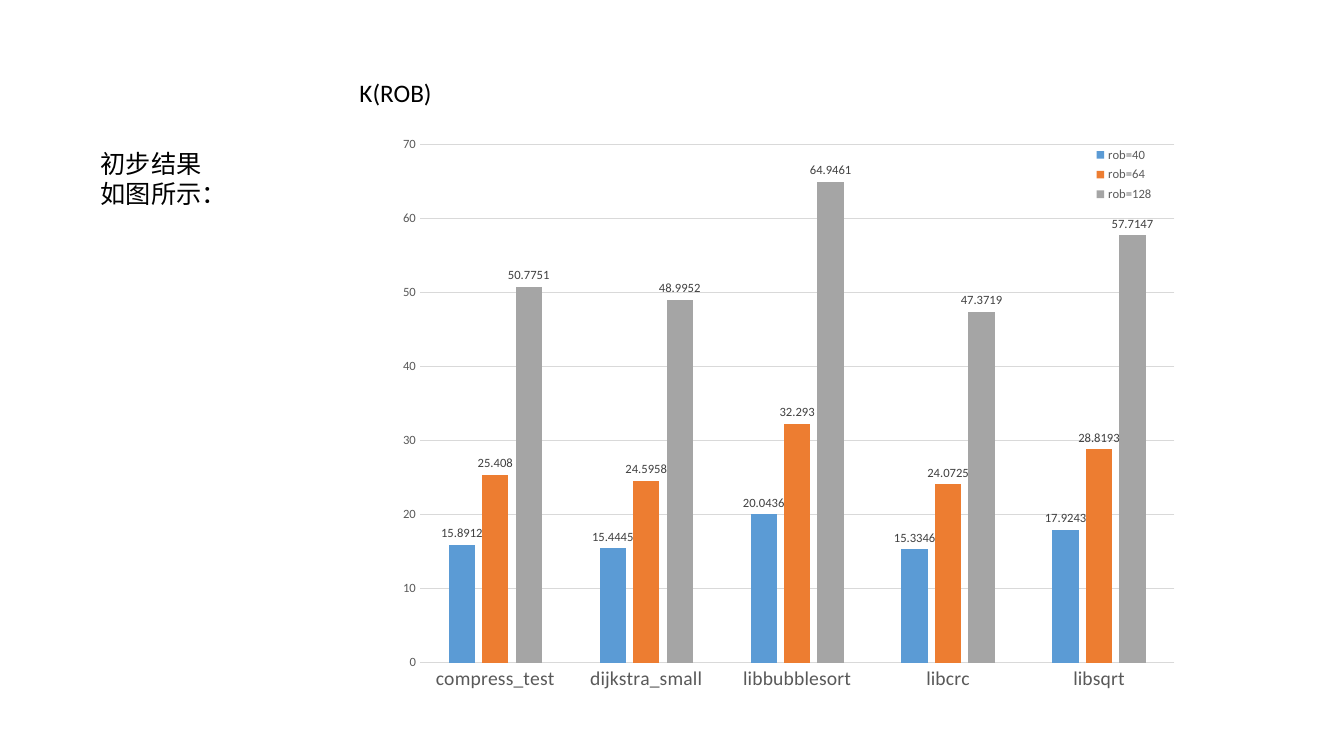
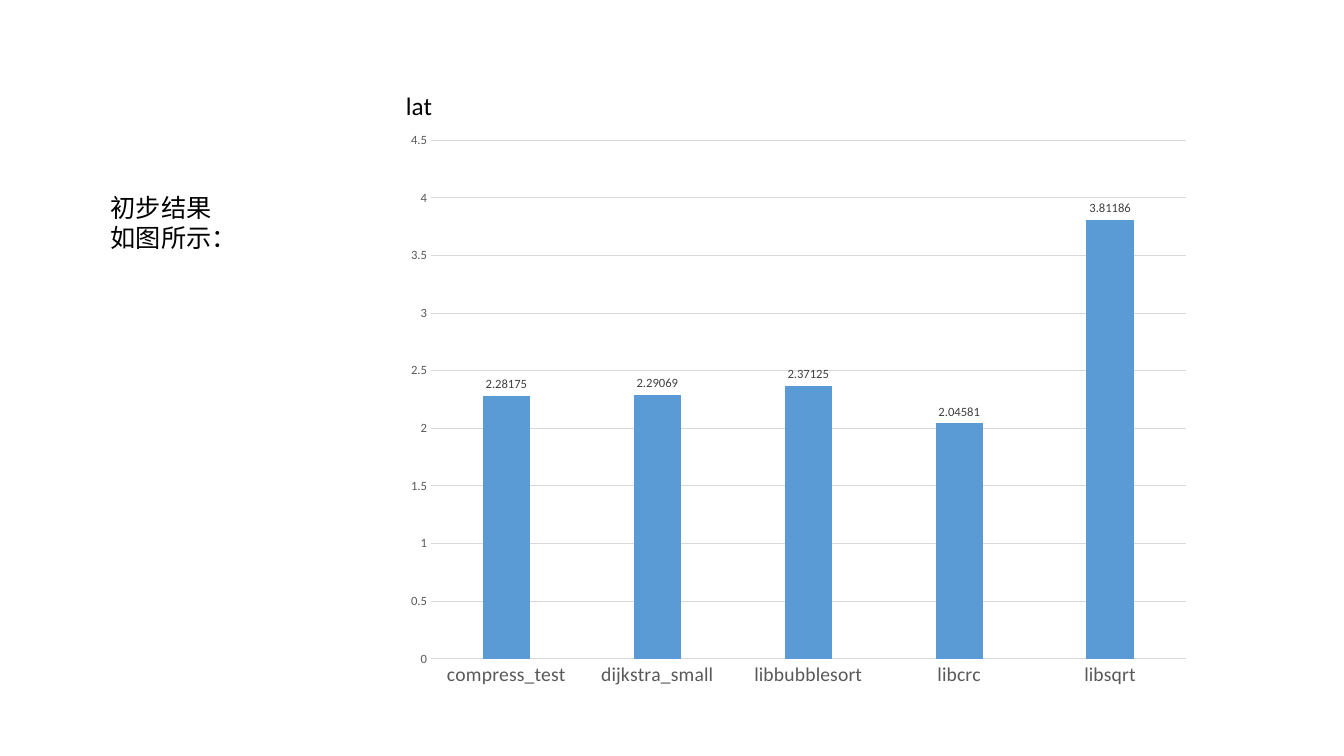
from dataclasses import dataclass

from lxml import etree
from pptx import Presentation
from pptx.chart.chart import Chart
from pptx.chart.data import CategoryChartData
from pptx.dml.color import RGBColor
from pptx.enum.chart import (XL_CHART_TYPE, XL_LABEL_POSITION,
                             XL_LEGEND_POSITION, XL_TICK_MARK)
from pptx.enum.text import MSO_AUTO_SIZE
from pptx.oxml.ns import qn
from pptx.slide import Slide
from pptx.text.text import Font
from pptx.util import Cm, Pt

CLUSTERED = XL_CHART_TYPE.COLUMN_CLUSTERED
OUTSIDE_END = XL_LABEL_POSITION.OUTSIDE_END
LEGEND_RIGHT = XL_LEGEND_POSITION.RIGHT
NO_TICK = XL_TICK_MARK.NONE
GROW = MSO_AUTO_SIZE.SHAPE_TO_FIT_TEXT

# Shared style
FONT = "Calibri"
BLACK, AXIS_GRAY, LABEL_GRAY, GRID_GRAY = "000000", "595959", "404040", "D9D9D9"
SERIES_COLORS = ("5B9BD5", "ED7D31", "A5A5A5")
CHART_SIZE = (20.19, 14.68)
PLOT_AREA = (0.056, 0.023, 0.942, 0.89)
LEGEND_AREA = (0.89, 0.02, 0.09, 0.11)

PROGRAMS = ("compress_test", "dijkstra_small", "libbubblesort", "libcrc", "libsqrt")
CAPTION = "初步结果如图所示："


@dataclass(frozen=True)
class Box:
    """Left, top, width and height in centimetres."""
    left: float
    top: float
    width: float
    height: float


@dataclass(frozen=True)
class ResultSlide:
    metric: str
    metric_box: Box
    metric_wraps: bool
    caption_box: Box
    chart_at: tuple[float, float]
    results: dict[str, tuple[float, ...]]


RESULT_SLIDES = (
    ResultSlide(
        "K(ROB)", Box(8.81, 1.83, 3.3, 1.03), True, Box(2.29, 3.61, 3.43, 1.8),
        (9.45, 3.3),
        {"rob=40": (15.8912, 15.4445, 20.0436, 15.3346, 17.9243),
         "rob=64": (25.408, 24.5958, 32.293, 24.0725, 28.8193),
         "rob=128": (50.7751, 48.9952, 64.9461, 47.3719, 57.7147)}),
    ResultSlide(
        "lat", Box(9.98, 2.16, 1.17, 1.03), False, Box(2.54, 4.72, 3.43, 1.8),
        (9.73, 3.2),
        {"lat": (2.28175, 2.29069, 2.37125, 2.04581, 3.81186)}),
)


def rgb(color: str) -> RGBColor:
    return RGBColor.from_string(color)


def style_font(font: Font, size: float, color: str) -> None:
    font.name, font.size = FONT, Pt(size)
    font.color.rgb = rgb(color)


def add_text(slide: Slide, text: str, box: Box, *, size: float = 18,
             color: str = BLACK, wrap: bool = True) -> None:
    frame = slide.shapes.add_textbox(
        Cm(box.left), Cm(box.top), Cm(box.width), Cm(box.height)).text_frame
    frame.word_wrap = wrap
    frame.auto_size = GROW
    run = frame.paragraphs[0].add_run()
    run.text = text
    style_font(run.font, size, color)


def place_part(chart: Chart, tag: str, area: tuple[float, ...], index: int,
               inner: bool = False) -> None:
    """Fix a chart part at fractions of the chart's width and height."""
    part = next(chart.element.iter(qn(tag)))
    for old in part.findall(qn("c:layout")):
        part.remove(old)
    layout = part.makeelement(qn("c:layout"))
    manual = etree.SubElement(layout, qn("c:manualLayout"))
    settings = [("layoutTarget", "inner")] if inner else []
    settings += [("xMode", "edge"), ("yMode", "edge")]
    settings += zip("xywh", map(str, area))
    for name, value in settings:
        etree.SubElement(manual, qn(f"c:{name}"), val=value)
    part.insert(index, layout)


def style_axes(chart: Chart) -> None:
    for axis, size in ((chart.category_axis, 14), (chart.value_axis, 9)):
        axis.major_tick_mark = axis.minor_tick_mark = NO_TICK
        style_font(axis.tick_labels.font, size, AXIS_GRAY)
    chart.value_axis.has_major_gridlines = True
    chart.value_axis.format.line.fill.background()
    for line in (chart.category_axis.format.line,
                 chart.value_axis.major_gridlines.format.line):
        line.color.rgb = rgb(GRID_GRAY)
        line.width = Pt(0.75)


def add_legend(chart: Chart) -> None:
    chart.has_legend = True
    chart.legend.position = LEGEND_RIGHT
    chart.legend.include_in_layout = True
    style_font(chart.legend.font, 9, AXIS_GRAY)
    place_part(chart, "c:legend", LEGEND_AREA, 1)


def add_result_chart(slide: Slide, content: ResultSlide) -> None:
    data = CategoryChartData()
    data.categories = PROGRAMS
    for name, values in content.results.items():
        data.add_series(name, values)
    position = [Cm(length) for length in content.chart_at + CHART_SIZE]
    chart = slide.shapes.add_chart(CLUSTERED, *position, data).chart
    chart.has_title = False
    style_font(chart.font, 10, BLACK)
    style_axes(chart)

    # Columns and their values
    plot = chart.plots[0]
    plot.gap_width, plot.overlap = 219, -27
    plot.vary_by_categories = False
    for series, color in zip(plot.series, SERIES_COLORS):
        series.format.fill.solid()
        series.format.fill.fore_color.rgb = rgb(color)
        labels = series.data_labels
        labels.show_value = True
        labels.position = OUTSIDE_END
        style_font(labels.font, 9, LABEL_GRAY)

    place_part(chart, "c:plotArea", PLOT_AREA, 0, inner=True)
    chart.has_legend = False
    if len(content.results) > 1:
        add_legend(chart)


# Build the slides
deck = Presentation()
deck.slide_width, deck.slide_height = Cm(33.87), Cm(19.05)
blank_layout = deck.slide_layouts[6]
for content in RESULT_SLIDES:
    slide = deck.slides.add_slide(blank_layout)
    add_result_chart(slide, content)
    add_text(slide, content.metric, content.metric_box, wrap=content.metric_wraps)
    add_text(slide, CAPTION, content.caption_box)
deck.save("out.pptx")
